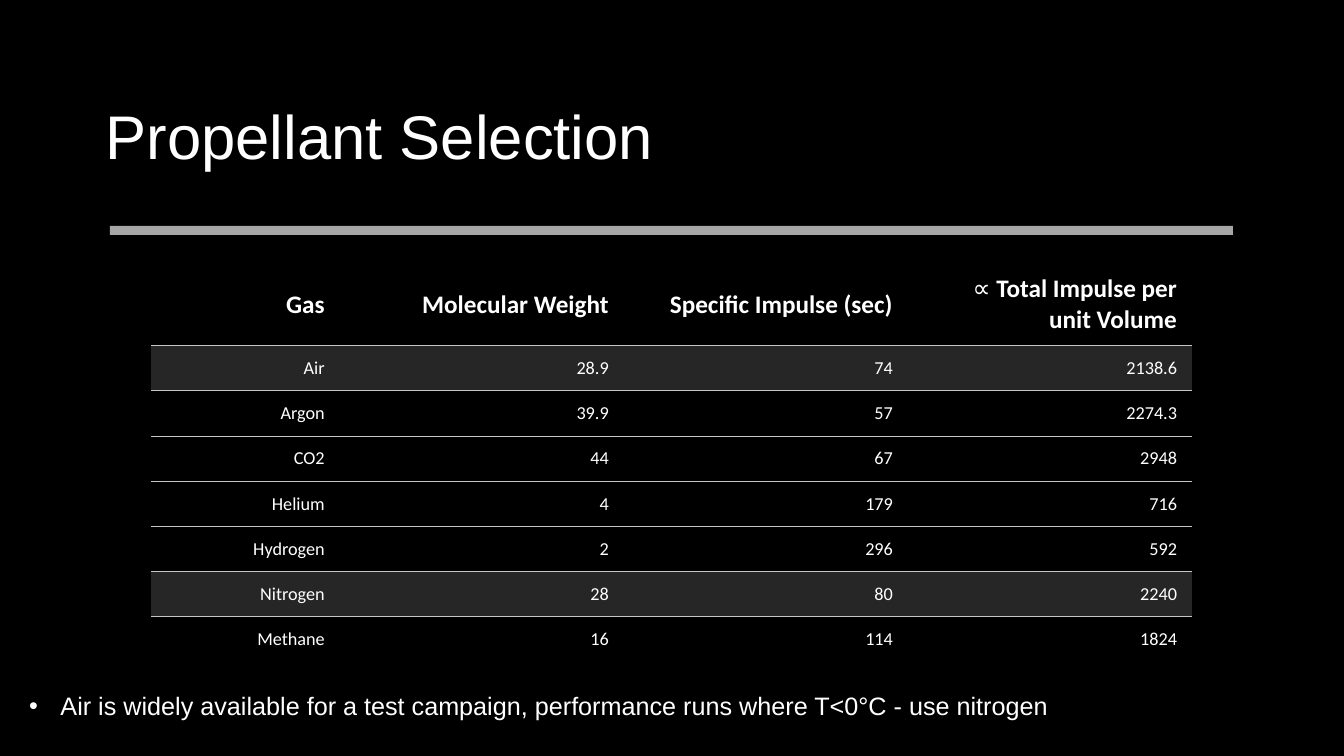
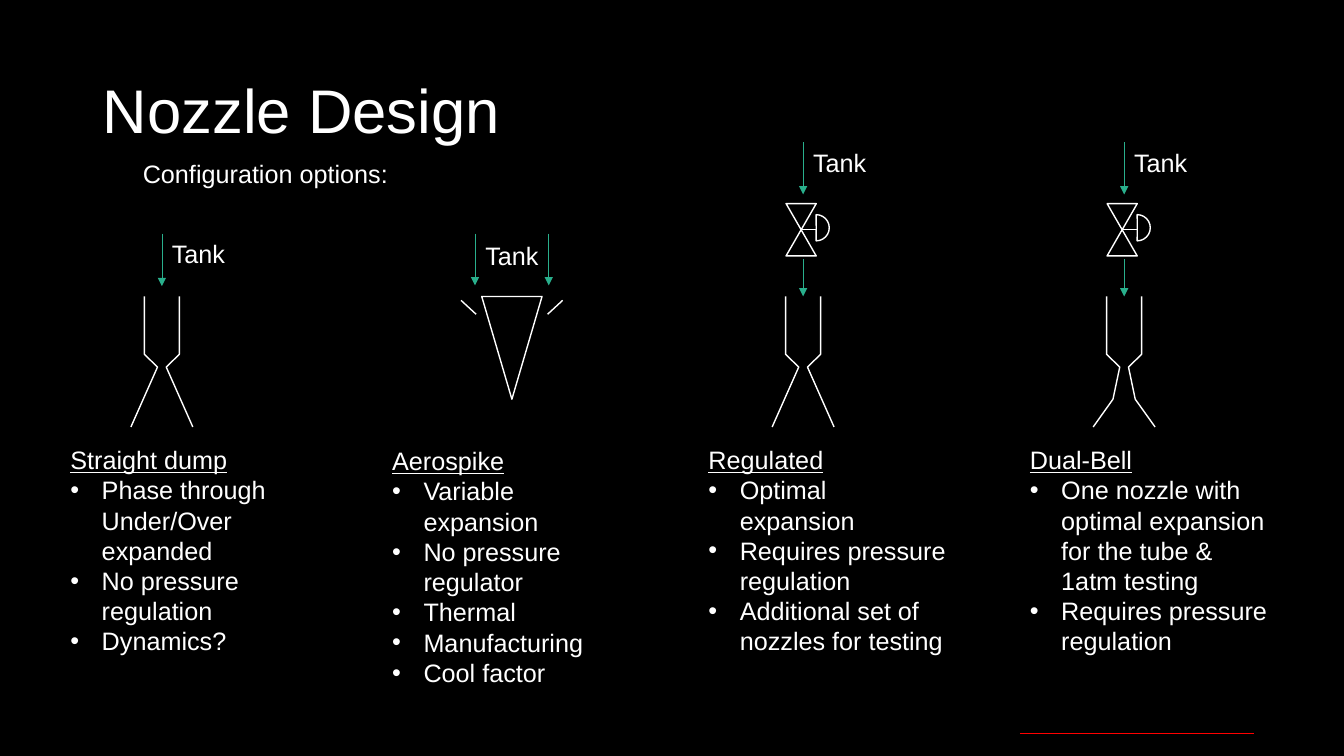
from lxml.etree import SubElement
from pptx import Presentation
from pptx.dml.color import RGBColor
from pptx.enum.shapes import MSO_CONNECTOR, MSO_SHAPE
from pptx.enum.text import MSO_ANCHOR as ANCHOR, MSO_AUTO_SIZE as AUTO, PP_ALIGN as ALIGN
from pptx.oxml.ns import qn
from pptx.util import Cm, Pt

COLORS = {
    "back": "000000",
    "text": "FFFFFF",
    "band": "262626",
    "rule": "C7C6C1",
    "flow": "29AF8C",
    "mark": "FF0000",
}
NO_GRID_STYLE = "{2D5ABB26-0587-4C30-8999-92F81FD0307C}"
TITLE_ONLY_BODY, FOUR_BODIES = 1, 4  # layouts of the default template

GASES = [
    ("Air", "28.9", "74", "2138.6"),
    ("Argon", "39.9", "57", "2274.3"),
    ("CO2", "44", "67", "2948"),
    ("Helium", "4", "179", "716"),
    ("Hydrogen", "2", "296", "592"),
    ("Nitrogen", "28", "80", "2240"),
    ("Methane", "16", "114", "1824"),
]
HEADINGS = ("Gas", "Molecular Weight", "Specific Impulse (sec)",
            "Total Impulse per unit Volume")

# left edge, top, heading, bullets
OPTIONS = [
    (1.52, 11.07, "Straight dump",
     ["Phase through Under/Over expanded", "No pressure regulation", "Dynamics?"]),
    (9.63, 11.1, "Aerospike",
     ["Variable expansion", "No pressure regulator", "Thermal", "Manufacturing",
      "Cool factor"]),
    (17.6, 11.07, "Regulated",
     ["Optimal expansion", "Requires pressure regulation",
      "Additional set of nozzles for testing"]),
    (25.7, 11.07, "Dual-Bell",
     ["One nozzle with optimal expansion for the tube & 1atm testing",
      "Requires pressure regulation"]),
]

# (distance from the axis, height on the slide)
INLET = [(0.44, 7.47), (0.44, 8.93), (0.11, 9.25)]
CONE = INLET + [(0.78, 10.76)]
DUAL_BELL = INLET + [(0.28, 10.06), (0.78, 10.76)]
COWL = [(1.28, 7.57), (0.9, 7.92)]


def rgb(name):
    return RGBColor.from_string(COLORS[name])


def write(p, text, size=18, font="Arial", bold=False, underline=False, align=ALIGN.LEFT):
    r = p.add_run()
    r.text = text
    r.font.size, r.font.name = Pt(size), font
    r.font.bold, r.font.underline = bold, underline
    r.font.color.rgb = rgb("text")
    p.alignment = align


def set_bullet(p, char=None):
    """Give the paragraph a hanging bullet, or none at all."""
    p.space_before = p.space_after = Pt(0)
    pPr = p._p.get_or_add_pPr()
    indent = Cm(0.79) if char else 0
    pPr.set("marL", str(indent))
    pPr.set("indent", str(-indent))
    if char:
        SubElement(pPr, qn("a:buFont"), typeface="Arial")
        SubElement(pPr, qn("a:buChar"), char=char)
    else:
        SubElement(pPr, qn("a:buNone"))


def set_bottom_border(cell):
    tcPr = cell._tc.get_or_add_tcPr()
    ln = SubElement(tcPr, qn("a:lnB"), w=str(Pt(0.75)))
    fill = SubElement(ln, qn("a:solidFill"))
    SubElement(fill, qn("a:srgbClr"), val=COLORS["rule"])
    tcPr.insert(0, ln)


class Deck:
    def __init__(self):
        self.prs = Presentation()
        self.prs.slide_width, self.prs.slide_height = Cm(33.87), Cm(19.05)
        fill = self.prs.slide_master.background.fill
        fill.solid()
        fill.fore_color.rgb = rgb("back")
        self.slide = None

    def place(self, sp, x, y, w, h):
        sp.left, sp.top, sp.width, sp.height = Cm(x), Cm(y), Cm(w), Cm(h)

    def new_slide(self, layout, title, x, y):
        self.slide = self.prs.slides.add_slide(self.prs.slide_layouts[layout])
        sp = self.slide.shapes.title
        self.place(sp, x, y, 29.1, 3.68)
        tf = sp.text_frame
        tf.vertical_anchor, tf.auto_size = ANCHOR.MIDDLE, AUTO.NONE
        tf.paragraphs[0].line_spacing = 0.9
        write(tf.paragraphs[0], title, size=44)

    def bullets(self, idx, x, y, w, h, items, heading=None):
        """Fill body placeholder idx with an optional heading and a list."""
        sp = self.slide.placeholders[idx]
        self.place(sp, x, y, w, h)
        tf = sp.text_frame
        tf.vertical_anchor, tf.auto_size, tf.word_wrap = ANCHOR.TOP, AUTO.NONE, True
        lines = [(heading, None)] if heading else []
        lines += [(item, "•") for item in items]
        for i, (text, char) in enumerate(lines):
            p = tf.add_paragraph() if i else tf.paragraphs[0]
            set_bullet(p, char)
            write(p, text, underline=char is None)

    def label(self, text, x, y, w, align=ALIGN.LEFT):
        tf = self.slide.shapes.add_textbox(Cm(x), Cm(y), Cm(w), Cm(1.02)).text_frame
        tf.word_wrap = True
        write(tf.paragraphs[0], text, align=align)

    def outline(self, sp):
        sp.shadow.inherit = False
        sp.fill.background()
        sp.line.color.rgb, sp.line.width = rgb("text"), Pt(1)

    def shape(self, kind, x, y, w, h, rotation=0, adjustments=()):
        sp = self.slide.shapes.add_shape(kind, Cm(x), Cm(y), Cm(w), Cm(h))
        sp.rotation = rotation
        for i, value in enumerate(adjustments):
            sp.adjustments[i] = value
        self.outline(sp)

    def bar(self, x, y, w, h, opacity):
        sp = self.slide.shapes.add_shape(MSO_SHAPE.RECTANGLE, Cm(x), Cm(y), Cm(w), Cm(h))
        sp.shadow.inherit = False
        sp.line.fill.background()
        sp.fill.solid()
        sp.fill.fore_color.rgb = rgb("text")
        color = sp._element.spPr.find(".//" + qn("a:srgbClr"))
        SubElement(color, qn("a:alpha"), val=str(opacity * 1000))

    def line(self, x1, y1, x2, y2, color="text", arrow=False):
        cxn = self.slide.shapes.add_connector(
            MSO_CONNECTOR.STRAIGHT, Cm(x1), Cm(y1), Cm(x2), Cm(y2))
        cxn.line.color.rgb, cxn.line.width = rgb(color), Pt(0.5)
        if arrow:
            SubElement(cxn.line._get_or_add_ln(), qn("a:tailEnd"), type="triangle")
        SubElement(cxn._element.spPr, qn("a:effectLst"))

    def flow(self, x, top, bottom):
        self.line(x, top, x, bottom, "flow", arrow=True)

    def mirrored(self, axis, profile):
        """Draw an open profile on both sides of a vertical axis."""
        for side in (-1, 1):
            start, *rest = [(Cm(axis + side * dx), Cm(y)) for dx, y in profile]
            builder = self.slide.shapes.build_freeform(*start)
            builder.add_line_segments(rest, close=False)
            self.outline(builder.convert_to_shape())

    def tank_feed(self, axis, top):
        self.flow(axis, top, top + 1.32)
        self.label("Tank", axis, top, 2.24)

    def regulator(self, axis):
        """Draw the tank feed, the control valve and the flow to the nozzle."""
        self.tank_feed(axis, 3.58)
        center = axis - 0.05
        for y, rotation in ((5.13, 180), (5.79, 0)):
            self.shape(MSO_SHAPE.ISOSCELES_TRIANGLE, center - 0.38, y, 0.76, 0.66, rotation)
        self.line(center, 5.77, center + 0.38, 5.77)
        self.shape(MSO_SHAPE.PIE, center + 0.05, 5.41, 0.66, 0.66, adjustments=(162, 54))
        self.flow(axis, 6.53, 7.47)

    def aerospike(self, axis):
        self.label("Tank", axis - 1.12, 5.94, 2.24, ALIGN.CENTER)
        self.shape(MSO_SHAPE.ISOSCELES_TRIANGLE, axis - 0.76, 7.47, 1.52, 2.59, 180)
        self.mirrored(axis, COWL)
        for side in (-1, 1):
            self.flow(axis + side * 0.93, 5.89, 7.19)

    def table(self, x, y, widths, heights, rows, banded):
        frame = self.slide.shapes.add_table(
            len(rows), len(widths), Cm(x), Cm(y), Cm(sum(widths)), Cm(sum(heights)))
        table = frame.table
        table._tbl.tblPr.find(qn("a:tableStyleId")).text = NO_GRID_STYLE
        table.first_row = table.horz_banding = False
        for column, width in zip(table.columns, widths):
            column.width = Cm(width)
        for i, (row, height, texts) in enumerate(zip(table.rows, heights, rows)):
            row.height = Cm(height)
            for cell, text in zip(row.cells, texts):
                self.cell(cell, text, i == 0, texts[0] in banded)
                if i < len(rows) - 1:
                    set_bottom_border(cell)

    def cell(self, cell, text, header, band):
        cell.vertical_anchor = ANCHOR.MIDDLE
        cell.margin_left, cell.margin_right = Cm(0.51), Cm(0.38)
        cell.margin_top = cell.margin_bottom = Cm(0.25)
        cell.fill.solid()
        cell.fill.fore_color.rgb = rgb("band" if band else "back")
        p = cell.text_frame.paragraphs[0]
        style = dict(size=18 if header else 13, font="Calibri", align=ALIGN.RIGHT)
        if text == HEADINGS[-1]:
            write(p, "∝ ", **style)
        write(p, text, bold=header, **style)


def propellant_slide(deck):
    deck.new_slide(TITLE_ONLY_BODY, "Propellant Selection", 2.41, 1.68)
    deck.bar(2.77, 5.69, 28.3, 0.23, opacity=65)
    deck.table(3.81, 6.63, [4.75] + [7.16] * 3, [2.08] + [1.14] * len(GASES),
               [HEADINGS, *GASES], banded=("Air", "Nitrogen"))
    deck.bullets(1, 0.48, 17.27, 32.92, 1.02, [
        "Air is widely available for a test campaign, "
        "performance runs where T<0°C - use nitrogen"])


def nozzle_slide(deck):
    deck.new_slide(FOUR_BODIES, "Nozzle Design", 2.34, 1.02)
    deck.label("Configuration options:", 3.35, 3.86, 28.19)
    for idx, (x, y, heading, items) in enumerate(OPTIONS, start=1):
        deck.bullets(idx, x, y, 6.55, 7.19, items, heading)
    deck.tank_feed(4.08, 5.89)
    deck.mirrored(4.08, CONE)
    deck.aerospike(12.9)
    for axis, profile in ((20.24, CONE), (28.33, DUAL_BELL)):
        deck.regulator(axis)
        deck.mirrored(axis, profile)
    deck.line(25.7, 18.47, 31.6, 18.47, "mark")


def main():
    deck = Deck()
    propellant_slide(deck)
    nozzle_slide(deck)
    deck.prs.save("out.pptx")


if __name__ == "__main__":
    main()
